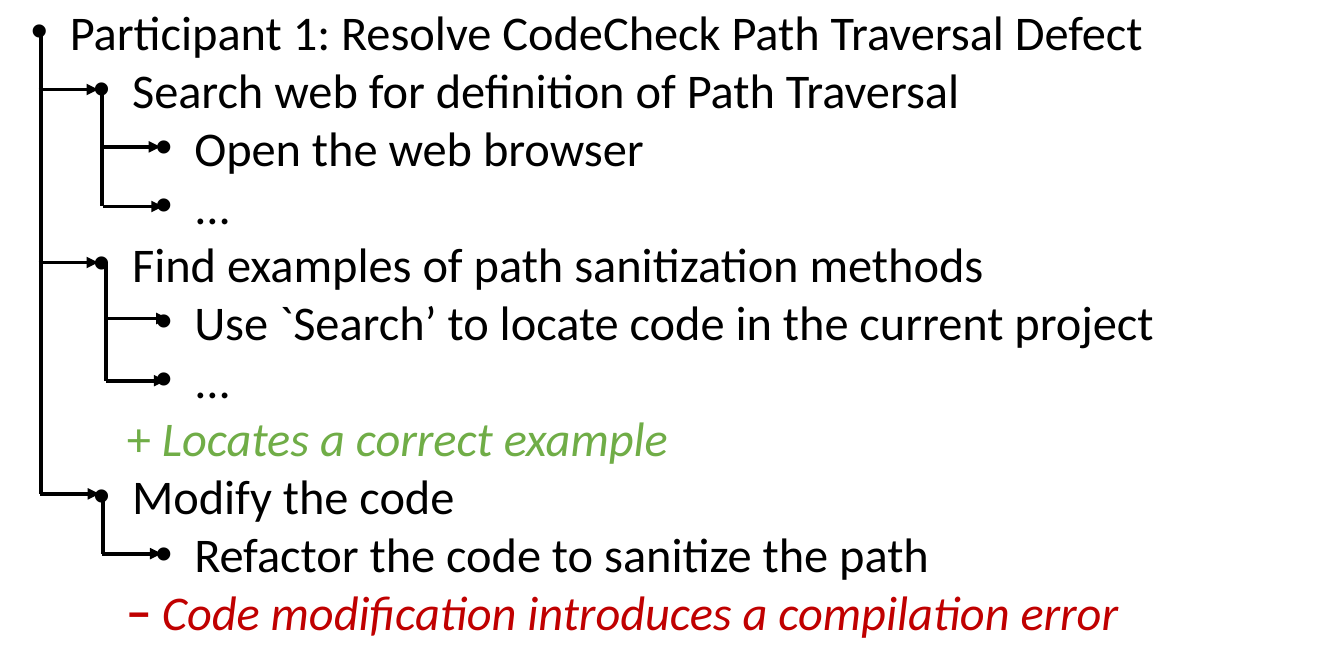
import pptx
import pptx.util
import pptx.dml.color
import pptx.enum.shapes
import pptx.enum.text
from lxml import etree

Pt = pptx.util.Pt
RGB = pptx.dml.color.RGBColor.from_string
COLORS = {"ink": "000000", "paper": "FFFFFF", "good": "70AD47", "bad": "C00000"}
HANGING = 22.5
LEVEL_STEP = 36
NOTE_INDENT = 55.5
ARROW_LENGTH = 34.5

# Level of each step, None for an observation; runs are (text, color, bold, italic)
OUTLINE = [
    (0, [("Participant 1: Resolve CodeCheck Path Traversal Defect", "ink", False, False)]),
    (1, [("Search web for definition of Path Traversal", "ink", False, False)]),
    (2, [("Open the web browser", "ink", False, False)]),
    (2, [("...", "ink", False, False)]),
    (1, [("Find examples of path sanitization methods", "ink", False, False)]),
    (2, [("Use `Search’ to locate code in the current project", "ink", False, False)]),
    (2, [("...", "ink", False, False)]),
    (None, [("+ ", "good", False, False), ("Locates a correct example", "good", False, True)]),
    (1, [("Modify the code", "ink", False, False)]),
    (2, [("Refactor the code to sanitize the path", "ink", False, False)]),
    (None, [("− ", "bad", True, False),
            ("Code modification introduces a compilation error", "bad", False, True)]),
]

# Trunk x, top and bottom, then the start of each arrow leaving it
BRANCHES = [
    (23.8, 20.9, 285.8, [(22.3, 51.8), (22.3, 151.9), (23, 285.8)]),
    (59, 51.8, 119.5, [(58.3, 85), (59.8, 119.5)]),
    (61.2, 151.9, 220.3, [(62.6, 184.3), (61.2, 220.3)]),
    (59.8, 285.8, 320.4, [(59, 320.4)]),
]

deck = pptx.Presentation()
deck.slide_width, deck.slide_height = Pt(777.6), Pt(374.4)
page = deck.slides.add_slide(deck.slide_layouts[6])


def add_child(parent, tag, **attributes):
    return etree.SubElement(parent, pptx.oxml.ns.qn(tag), attributes)


def add_line(left, top, right, bottom, arrow=False):
    line = page.shapes.add_connector(
        pptx.enum.shapes.MSO_CONNECTOR.STRAIGHT, Pt(left), Pt(top), Pt(right), Pt(bottom))
    line.line.color.rgb = RGB(COLORS["ink"])
    line.line.width = Pt(2.25)
    if arrow:
        add_child(line.line._get_or_add_ln(), "a:tailEnd", type="triangle")
    add_child(line._element.spPr, "a:effectLst")


box = page.shapes.add_shape(
    pptx.enum.shapes.MSO_SHAPE.RECTANGLE, Pt(10.8), Pt(-2.6), Pt(677.5), Pt(380.2))
box.shadow.inherit = False
box.fill.background()
box.line.color.rgb = RGB(COLORS["paper"])
box.line.width = Pt(0.75)
frame = box.text_frame
frame.word_wrap = True
frame.auto_size = pptx.enum.text.MSO_AUTO_SIZE.SHAPE_TO_FIT_TEXT
frame.vertical_anchor = pptx.enum.text.MSO_ANCHOR.TOP

for number, (level, runs) in enumerate(OUTLINE):
    para = frame.add_paragraph() if number else frame.paragraphs[0]
    para.alignment = pptx.enum.text.PP_ALIGN.LEFT
    para.level = 2 if level is None else level
    layout = para._p.get_or_add_pPr()
    if level is None:
        margin, indent = NOTE_INDENT, 0
        add_child(layout, "a:buNone")
    else:
        margin, indent = HANGING + level * LEVEL_STEP, -HANGING
        add_child(layout, "a:buFont", typeface="Arial")
        add_child(layout, "a:buChar", char="•")
    layout.set("marL", str(Pt(margin)))
    layout.set("indent", str(Pt(indent)))
    for text, color, bold, italic in runs:
        span = para.add_run()
        span.text = text
        span.font.name = "Calibri"
        span.font.size = Pt(28)
        span.font.bold = bold
        span.font.italic = italic
        span.font.color.rgb = RGB(COLORS[color])

for trunk, top, bottom, arrows in BRANCHES:
    add_line(trunk, top, trunk, bottom)
    for start, height in arrows:
        add_line(start, height, start + ARROW_LENGTH, height, arrow=True)

deck.save("out.pptx")
